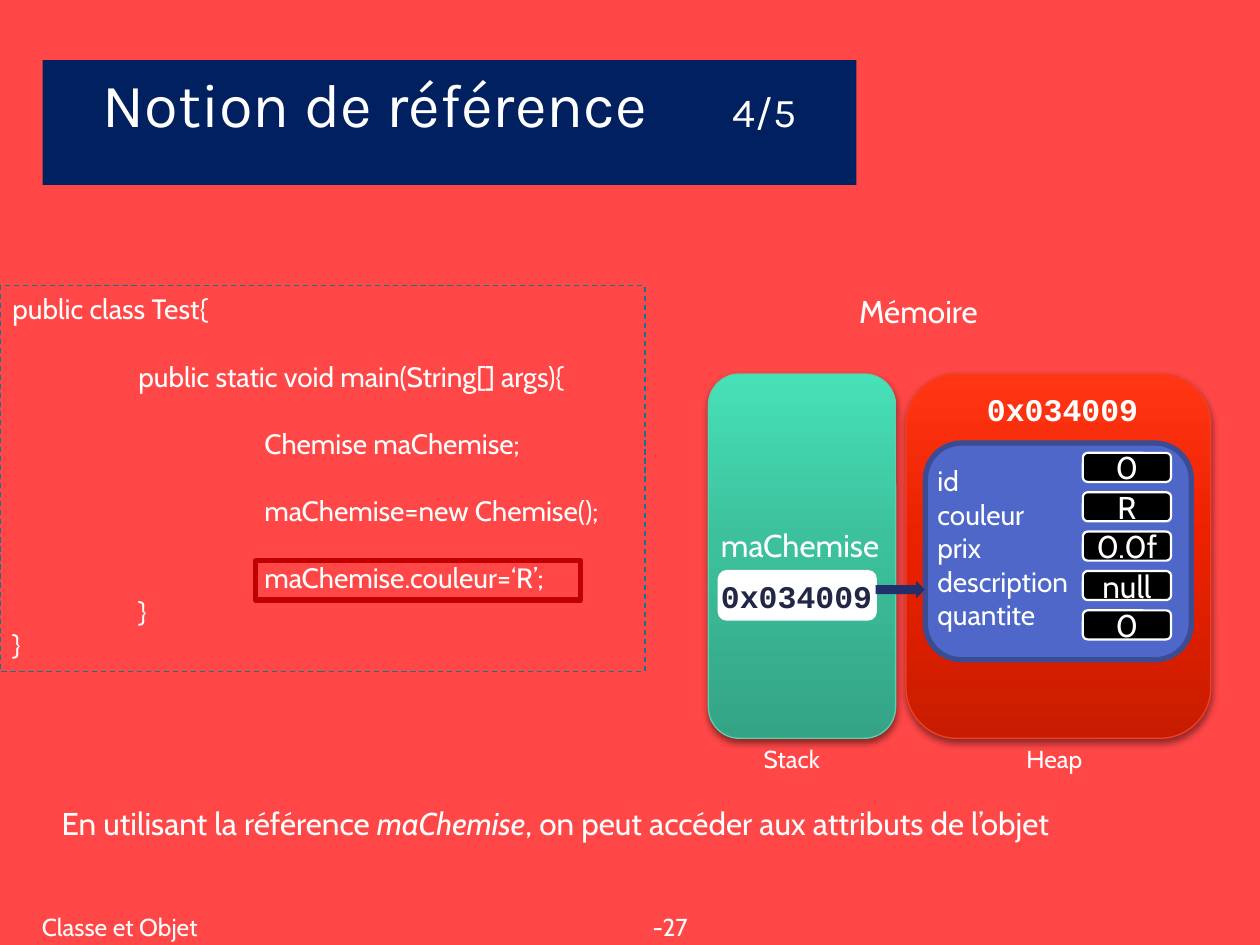
import copy

import lxml.etree
import pptx
import pptx.dml.color
import pptx.enum.dml
import pptx.enum.shapes
import pptx.enum.text
import pptx.oxml
import pptx.oxml.ns
import pptx.util

Pt = pptx.util.Pt
qn = pptx.oxml.ns.qn
SHAPES = pptx.enum.shapes.MSO_SHAPE
ALIGN = pptx.enum.text.PP_ALIGN
ANCHOR = pptx.enum.text.MSO_ANCHOR
NAMESPACE = 'xmlns:a="http://schemas.openxmlformats.org/drawingml/2006/main"'
SHADOW = (
    f'<a:effectLst {NAMESPACE}><a:outerShdw blurRad="50800" dist="25400" dir="5400000">'
    '<a:srgbClr val="000000"><a:alpha val="44000"/></a:srgbClr></a:outerShdw></a:effectLst>'
)


def rgb(value):
    return pptx.dml.color.RGBColor.from_string(value)


def set_tabs(paragraph, *positions):
    stops = lxml.etree.SubElement(paragraph._p.get_or_add_pPr(), qn("a:tabLst"))
    for position in positions:
        lxml.etree.SubElement(stops, qn("a:tab"), pos=str(int(Pt(position))), algn="l")


def write(paragraph, text, size=18, font="Cabin", color="FFFFFF", bold=False, italic=False):
    run = paragraph.add_run()
    run.text = text
    run.font.size = Pt(size)
    run.font.name = font
    run.font.color.rgb = rgb(color)
    run.font.bold = bold
    run.font.italic = italic


class SlideBuilder:
    def __init__(self, slide, font="Cabin", color="FFFFFF"):
        self.slide = slide
        self.font = font
        self.color = color

    def background(self, color):
        fill = self.slide.background.fill
        fill.solid()
        fill.fore_color.rgb = rgb(color)

    def title(self, box, heading, page, fill):
        title = self.slide.shapes.title
        title.left, title.top, title.width, title.height = map(Pt, box)
        title.fill.solid()
        title.fill.fore_color.rgb = rgb(fill)
        frame = title.text_frame
        frame.auto_size = pptx.enum.text.MSO_AUTO_SIZE.NONE
        frame.vertical_anchor = ANCHOR.TOP
        paragraph = frame.paragraphs[0]
        set_tabs(paragraph, 360)
        paragraph.alignment = ALIGN.CENTER
        write(paragraph, heading + "\t", size=35.1, font="Karla", color=self.color)
        write(paragraph, page, size=23.4, font="Karla", color=self.color)

    def text(self, box, *lines, tabs=(), **style):
        frame = self.slide.shapes.add_textbox(*map(Pt, box)).text_frame
        frame.word_wrap = True
        for index, line in enumerate(lines):
            paragraph = frame.paragraphs[0] if index == 0 else frame.add_paragraph()
            if tabs:
                set_tabs(paragraph, *tabs)
            write(paragraph, line, **{"font": self.font, "color": self.color, **style})
        return frame

    def shape(self, kind, box, fill=None, line=None, width=1, dash=None):
        shape = self.slide.shapes.add_shape(kind, *map(Pt, box))
        shape.shadow.inherit = False
        if fill:
            shape.fill.solid()
            shape.fill.fore_color.rgb = rgb(fill)
        else:
            shape.fill.background()
        if line:
            shape.line.color.rgb = rgb(line)
            shape.line.width = Pt(width)
            if dash:
                shape.line.dash_style = dash
        else:
            shape.line.fill.background()
        return shape

    def memory_area(self, box, colors, line):
        area = self.shape(SHAPES.ROUNDED_RECTANGLE, box, line=line, width=0.75)
        area.fill.gradient()
        area.fill.gradient_angle = 90
        properties = area._element.spPr
        first = properties.find(".//" + qn("a:gs"))
        first.addnext(copy.deepcopy(first))
        for stop, position, color in zip(area.fill.gradient_stops, (0, 0.55, 1), colors):
            stop.position = position
            stop.color.rgb = rgb(color)
        properties.replace(properties.find(qn("a:effectLst")), pptx.oxml.parse_xml(SHADOW))

    def value(self, box, text):
        cell = self.shape(SHAPES.ROUNDED_RECTANGLE, box, "000000", "FFFFFF", 1.25)
        frame = cell.text_frame
        frame.margin_left = frame.margin_right = 0
        frame.vertical_anchor = ANCHOR.MIDDLE
        frame.paragraphs[0].alignment = ALIGN.CENTER
        write(frame.paragraphs[0], text, font=self.font, color=self.color)


def main():
    presentation = pptx.Presentation()
    presentation.slide_width = Pt(720)
    presentation.slide_height = Pt(540)
    page = SlideBuilder(presentation.slides.add_slide(presentation.slide_layouts[5]))
    page.background("FF4747")
    page.title((24.4, 34.4, 465, 71.2), "Notion de référence", "4/5", "002060")

    code_box = (0, 163.3, 368.6, 220.4)
    page.shape(SHAPES.RECTANGLE, code_box, line="0C788E", width=0.75,
               dash=pptx.enum.dml.MSO_LINE.DASH)
    code = page.text(
        code_box,
        "public class Test{",
        "\tpublic static void main(String[] args){",
        "\t\tChemise maChemise;",
        "\t\tmaChemise=new Chemise();",
        "\t\tmaChemise.couleur=‘R’;",
        "\t}",
        "}",
        tabs=(72, 144),
        size=16,
    )
    for statement in code.paragraphs[1:5]:
        statement.space_before = Pt(19.2)
    page.shape(SHAPES.RECTANGLE, (146.2, 320.4, 185.6, 22.5), line="C00000", width=3)

    page.text((483.8, 163.4, 85, 29), "Mémoire")
    page.memory_area((404.8, 213.7, 107, 208.2), ("34A485", "3DC19D", "47E1B7"), "5DCEAF")
    page.memory_area((517.7, 213.7, 174.2, 208.2), ("C81C00", "EC2100", "FF3514"), "F14124")
    page.text((429.3, 421.9, 50, 24.2), "Stack", size=14)
    page.text((579.4, 421.9, 48.4, 24.2), "Heap", size=14)

    page.shape(SHAPES.ROUNDED_RECTANGLE, (410.6, 326.2, 90, 28), "FFFFFF", "FFFFFF")
    page.text((404.9, 297.2, 111.6, 29), "maChemise")
    address = {"font": "Courier New", "bold": True}
    page.text((404.9, 326.2, 101.6, 29), "0x034009", color="212745", **address)
    page.text((556.9, 219.4, 101.6, 29), "0x034009", **address)

    page.shape(SHAPES.ROUNDED_RECTANGLE, (528.8, 253.2, 152, 123.8), "4E67C8", "3A4C94", 3)
    attributes = {"id": "0", "couleur": "R", "prix": "0.0f", "description": "null", "quantite": "0"}
    page.text((528.6, 261.4, 92.2, 104.4), *attributes, size=16)
    for row, content in enumerate(attributes.values()):
        page.value((618.8, 258.8 + 22.5 * row, 50.4, 16.6), content)
    page.shape(SHAPES.RIGHT_ARROW, (500.4, 331.9, 28.1, 10.1), "21306A")

    summary = page.text((28.1, 455.8, 628.6, 29), "En utilisant la référence ")
    write(summary.paragraphs[0], "maChemise", italic=True)
    write(summary.paragraphs[0], ", on peut accéder aux attributs de l’objet")
    page.text((16.8, 517.7, 110.9, 24.2), "Classe et Objet", size=14)
    page.text((365.8, 517.7, 39.6, 24.2), "-27-", size=14)

    presentation.save("out.pptx")


if __name__ == "__main__":
    main()
